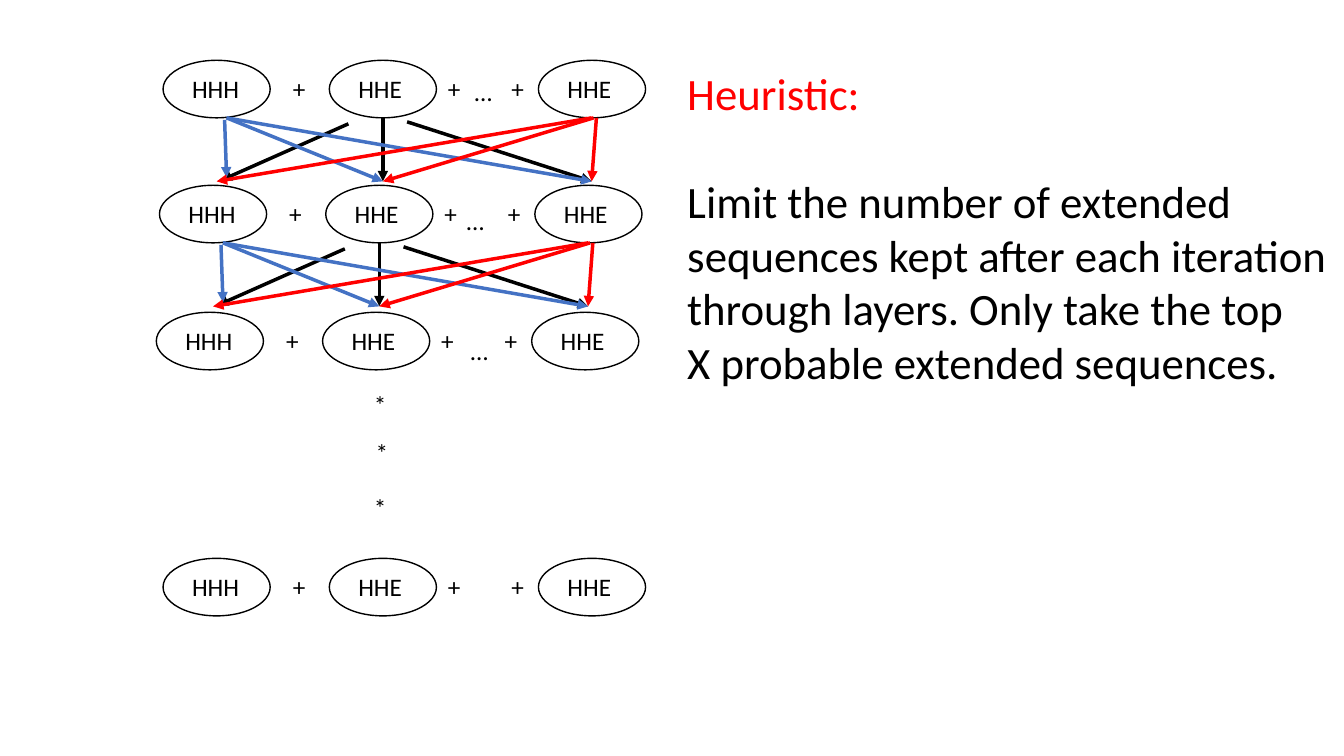
from lxml import etree
from pptx import Presentation
from pptx import util as u
from pptx.dml.color import RGBColor
from pptx.enum import shapes, text
from pptx.oxml.ns import qn

BLACK = RGBColor(0x00, 0x00, 0x00)
BLUE = RGBColor(0x44, 0x72, 0xC4)
RED = RGBColor(0xFF, 0x00, 0x00)

# Layers: left and top of the first node, in cm
LAYERS = [(4.11, 1.52), (4.02, 4.67), (3.94, 7.87), (4.11, 14.07)]

# Offsets from a layer's corner, in cm
NODES = [("HHH", 0, 1.73), ("HHE", 4.19, 1.63), ("HHE", 9.46, 1.63)]
PLUS_OFFSETS = [3.02, 6.93, 8.53]
ARROWS = {
    BLACK: [(4.67, 1.6, 1.47, 3.02), (5.54, 1.45, 5.54, 3.05),
            (6.15, 1.55, 10.8, 3.05)],
    BLUE: [(1.6, 1.45, 5.54, 3.05), (1.55, 1.5, 1.6, 2.95),
           (1.6, 1.45, 10.8, 3.05)],
    RED: [(10.92, 1.45, 10.8, 3.05), (10.85, 1.45, 5.54, 3.05),
          (10.8, 1.45, 1.35, 3.05)],
}

DOTS = [(11.71, 1.8), (11.51, 5.05), (11.61, 8.33)]
STARS = [(9.17, 9.68), (9.22, 10.9), (9.17, 12.29)]

HEURISTIC = [
    ("Heuristic:", RED, 0),
    ("Limit the number of extended", BLACK, 39),
    ("sequences kept after each iteration", BLACK, 0),
    ("through layers. Only take the top", BLACK, 0),
    ("X probable extended sequences.", BLACK, 0),
]


class Diagram:
    """Draws elements in one style on one slide."""

    font = {"name": "Calibri", "size": u.Pt(18)}
    frame = {"word_wrap": False, "auto_size": text.MSO_AUTO_SIZE.SHAPE_TO_FIT_TEXT}
    symbol_width, label_height = 0.84, 1.02
    node_width, node_height = 2.7, 1.45

    def __init__(self, page):
        self.page = page

    def label(self, x, y, width, lines, height=label_height, **font):
        box = self.page.shapes.add_textbox(*map(u.Cm, (x, y, width, height)))
        for name, value in self.frame.items():
            setattr(box.text_frame, name, value)
        for index, (words, colour, gap) in enumerate(lines):
            para = box.text_frame.paragraphs[0] if index == 0 else box.text_frame.add_paragraph()
            para.space_before = u.Pt(gap)
            span = para.add_run()
            span.text = words
            for name, value in {**self.font, **font}.items():
                setattr(span.font, name, value)
            span.font.color.rgb = colour

    def symbol(self, x, y, sign, width=symbol_width):
        self.label(x, y, width, [(sign, BLACK, 0)])

    def node(self, x, y, name, label_width):
        self.symbol(x + 0.48, y + 0.2, name, label_width)
        oval = self.page.shapes.add_shape(
            shapes.MSO_SHAPE.OVAL,
            *map(u.Cm, (x, y, self.node_width, self.node_height)))
        oval.shadow.inherit = False
        oval.fill.background()
        oval.line.color.rgb = BLACK
        oval.line.width = u.Pt(1)

    def layer(self, left, top):
        for name, offset, label_width in NODES:
            self.node(left + offset, top, name, label_width)
        for offset in PLUS_OFFSETS:
            self.symbol(left + offset, top + 0.2, "+")

    def arrow(self, x1, y1, x2, y2, colour):
        link = self.page.shapes.add_connector(
            shapes.MSO_CONNECTOR.STRAIGHT, *map(u.Cm, (x1, y1, x2, y2)))
        link.line.color.rgb = colour
        link.line.width = u.Pt(2.5)
        etree.SubElement(link.line._get_or_add_ln(), qn("a:tailEnd"), type="triangle")
        etree.SubElement(link._element.spPr, qn("a:effectLst"))

    def transitions(self, left, top):
        for colour, arrows in ARROWS.items():
            for x1, y1, x2, y2 in arrows:
                self.arrow(left + x1, top + y1, left + x2, top + y2, colour)


def main():
    deck = Presentation()
    deck.slide_width, deck.slide_height = u.Cm(33.87), u.Cm(19.05)
    diagram = Diagram(deck.slides.add_slide(deck.slide_layouts[6]))

    # Layers of sequences, with arrows below the first two
    for corner in LAYERS:
        diagram.layer(*corner)
    for corner in LAYERS[:2]:
        diagram.transitions(*corner)

    # Continuation marks
    for x, y in DOTS:
        diagram.symbol(x, y, "…", 0.97)
    for x, y in STARS:
        diagram.symbol(x, y, "*")

    # Explanation
    diagram.label(17.07, 1.52, 16.81, HEURISTIC, height=8.46, size=u.Pt(32))

    deck.save("out.pptx")


if __name__ == "__main__":
    main()
